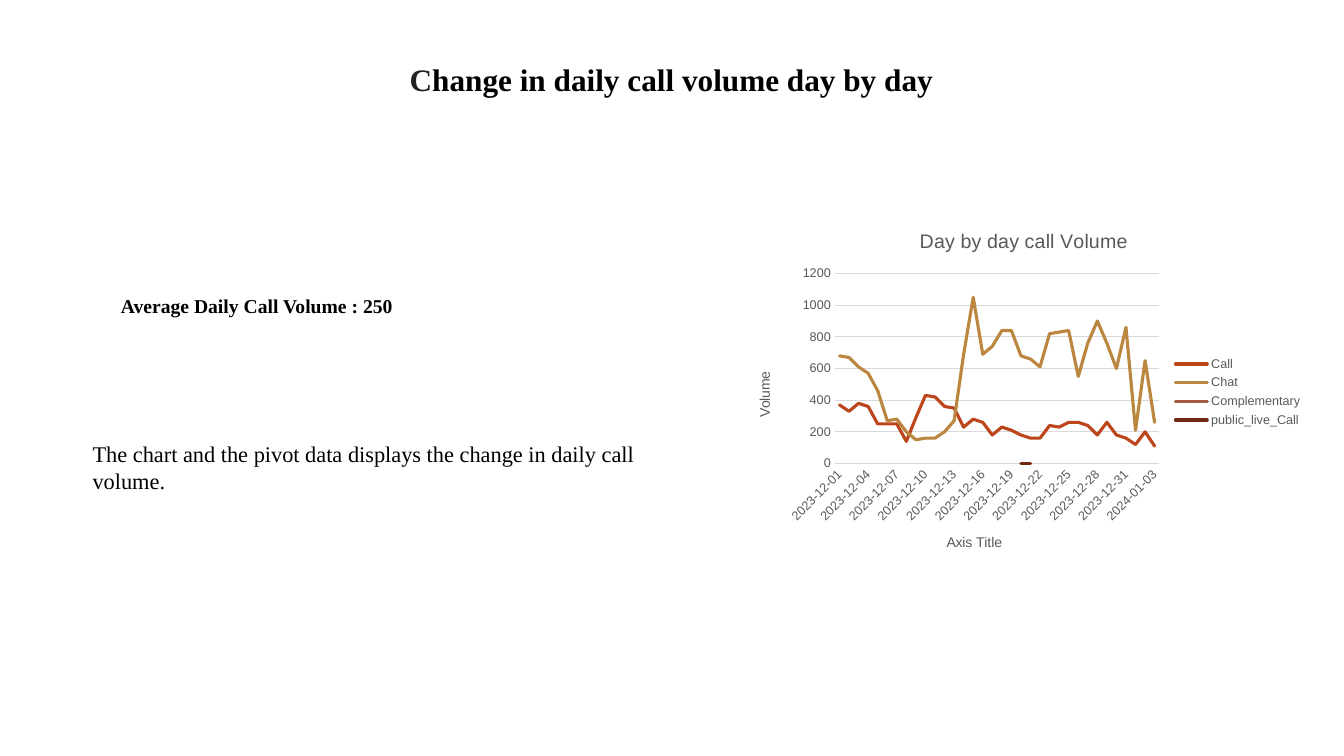
from lxml import etree
from pptx import Presentation
from pptx.chart.data import CategoryChartData
from pptx.dml.color import RGBColor
from pptx.enum.chart import XL_CHART_TYPE, XL_LEGEND_POSITION, XL_MARKER_STYLE, XL_TICK_MARK
from pptx.enum.text import MSO_ANCHOR, PP_ALIGN
from pptx.oxml import parse_xml
from pptx.util import Inches, Pt

COLORS = {
    "text": "000000", "initial": "212123", "label": "595959", "grid": "D9D9D9",
    "Call": "BC451B", "Chat": "BB8640",
    "Complementary": "A55A43", "public_live_Call": "712910",
}
SERIF, SANS = "Times New Roman", "Arial"
DRAWING_NS = "http://schemas.openxmlformats.org/drawingml/2006/main"
TEXT_SHADOW = (
    f'<a:effectLst xmlns:a="{DRAWING_NS}">'
    '<a:outerShdw blurRad="38100" dist="38100" dir="2700000" algn="tl">'
    '<a:srgbClr val="000000"><a:alpha val="43000"/></a:srgbClr>'
    '</a:outerShdw></a:effectLst>'
)

DAYS = [f"2023-12-{day:02}" for day in range(1, 32)] + [
    f"2024-01-{day:02}" for day in range(1, 4)]
CALLS = [370, 330, 380, 360, 250, 250, 250, 140, 290, 430, 420, 360,
         350, 230, 280, 260, 180, 230, 210, 180, 160, 160, 240, 230,
         260, 260, 240, 180, 260, 180, 160, 120, 200, 110]
CHATS = [680, 670, 610, 570, 460, 270, 280, 200, 150, 160, 160, 200,
         270, 690, 1050, 690, 740, 840, 840, 680, 660, 610, 820, 830,
         840, 550, 760, 900, 760, 600, 860, 210, 650, 260]


def zero_on(*days):
    """Return a daily series that is 0 on the given days and blank otherwise."""
    return [0 if day in days else None for day in DAYS]


VOLUMES = {
    "Call": CALLS,
    "Chat": CHATS,
    "Complementary": zero_on("2023-12-29"),
    "public_live_Call": zero_on("2023-12-20", "2023-12-21"),
}


def format_font(font, size, color, name=SANS, bold=False):
    font.size, font.name, font.bold = Pt(size), name, bold
    font.color.rgb = RGBColor.from_string(COLORS[color])


def add_text(paragraph, text, **font_format):
    run = paragraph.add_run()
    run.text = text
    format_font(run.font, **font_format)
    return run


def add_heading(slide, box):
    heading = slide.shapes.title
    heading.left, heading.top, heading.width, heading.height = box
    frame = heading.text_frame
    frame.word_wrap = True
    frame.vertical_anchor = MSO_ANCHOR.TOP
    frame.margin_top = 0
    paragraph = frame.paragraphs[0]
    paragraph.alignment = PP_ALIGN.CENTER
    paragraph.line_spacing = 0.8
    for text, color in (("C", "initial"),
                        ("hange in daily call volume day by day", "text")):
        run = add_text(paragraph, text, size=22.3, color=color, name=SERIF, bold=True)
        fill = run.font._element.find(f"{{{DRAWING_NS}}}solidFill")
        fill.addnext(parse_xml(TEXT_SHADOW))


def add_statement(slide, box, text, **font_format):
    frame = slide.shapes.add_textbox(*box).text_frame
    frame.word_wrap = True
    add_text(frame.paragraphs[0], text, color="text", name=SERIF, **font_format)


def style_axis(axis, title):
    add_text(axis.axis_title.text_frame.paragraphs[0], title, size=10, color="label")
    axis.major_tick_mark = axis.minor_tick_mark = XL_TICK_MARK.NONE
    format_font(axis.tick_labels.font, size=9, color="label")


def style_line(line, color, width):
    line.color.rgb = RGBColor.from_string(COLORS[color])
    line.width = Pt(width)


def add_volume_chart(slide, box):
    data = CategoryChartData()
    data.categories = DAYS
    for name, volumes in VOLUMES.items():
        data.add_series(name, volumes)
    chart = slide.shapes.add_chart(XL_CHART_TYPE.LINE, *box, data).chart
    format_font(chart.font, size=10, color="text")

    chart.has_title = True
    add_text(chart.chart_title.text_frame.paragraphs[0], "Day by day call Volume",
             size=14, color="label")
    chart.chart_title.include_in_layout = False
    chart.has_legend = True
    chart.legend.position = XL_LEGEND_POSITION.RIGHT
    chart.legend.include_in_layout = False
    format_font(chart.legend.font, size=9, color="label")

    days, volume = chart.category_axis, chart.value_axis
    style_axis(days, "Axis Title")
    style_axis(volume, "Volume")
    style_line(days.format.line, "grid", 0.75)
    volume.format.line.fill.background()
    volume.minimum_scale, volume.maximum_scale, volume.major_unit = 0, 1200, 200
    style_line(volume.major_gridlines.format.line, "grid", 0.75)
    for label_body in chart.element.xpath("//c:catAx/c:txPr/a:bodyPr"):
        label_body.set("rot", "-2700000")

    chart.plots[0].vary_by_categories = False
    for series in chart.plots[0].series:
        series.smooth = False
        series.marker.style = XL_MARKER_STYLE.NONE
        style_line(series.format.line, series.name, 2.25)
    for line in chart.element.xpath("//c:ser/c:spPr/a:ln"):
        line.set("cap", "rnd")
        etree.SubElement(line, f"{{{DRAWING_NS}}}round")


def main():
    presentation = Presentation()
    presentation.slide_width, presentation.slide_height = Inches(13.33), Inches(7.5)
    slide = presentation.slides.add_slide(presentation.slide_layouts[5])
    add_heading(slide, [Inches(n) for n in (1, 0.67, 11.32, 1.06)])
    add_statement(slide, [Inches(n) for n in (1.1, 2.87, 5.09, 0.4)],
                  "Average Daily Call Volume : 250", size=14, bold=True)
    add_statement(slide, [Inches(n) for n in (0.82, 4.32, 6.1, 0.37)],
                  "The chart and the pivot data displays the change in daily call volume.",
                  size=16)
    add_volume_chart(slide, [Inches(n) for n in (7.29, 2.11, 5.73, 3.56)])
    presentation.save("out.pptx")


if __name__ == "__main__":
    main()
